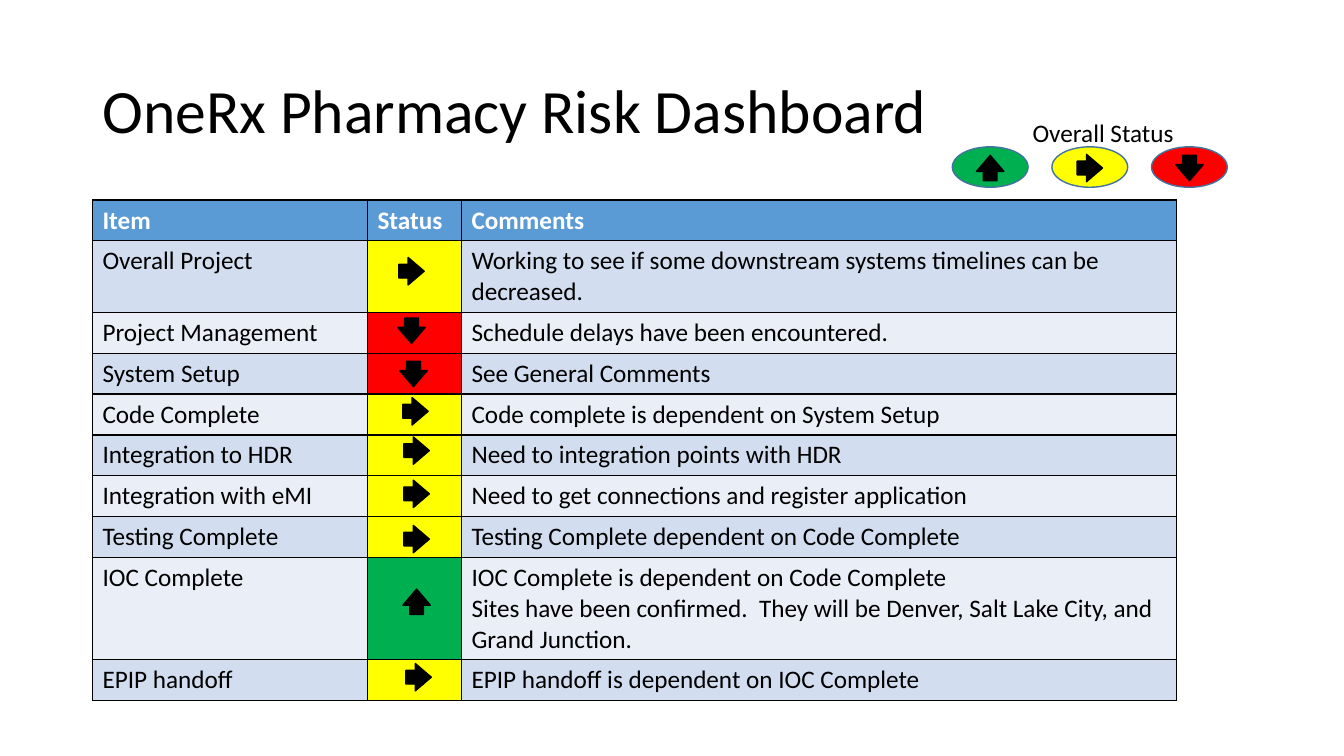
from lxml import etree
from pptx import Presentation
from pptx.dml.color import RGBColor
from pptx.enum.shapes import MSO_SHAPE
from pptx.enum.text import MSO_ANCHOR, PP_ALIGN
from pptx.oxml.ns import qn
from pptx.util import Cm, Pt

OVAL, ARROW = MSO_SHAPE.OVAL, MSO_SHAPE.RIGHT_ARROW
MIDDLE, TOP = MSO_ANCHOR.MIDDLE, MSO_ANCHOR.TOP
LEFT, CENTER = PP_ALIGN.LEFT, PP_ALIGN.CENTER

FONT = "Calibri"
COLORS = {
    "black": "000000", "white": "FFFFFF", "header": "5B9BD5",
    "band_dark": "D2DEEF", "band_light": "EAEFF7", "oval_line": "43739E",
    "up": "00B050", "steady": "FFFF00", "down": "FF0000",
}
ROTATIONS = {"up": 270, "steady": 0, "down": 90}
ARROW_WIDTH, ARROW_HEIGHT = 0.64, 0.69

HEADERS = ["Item", "Status", "Comments"]
COLUMN_WIDTHS = [6.93, 2.37, 18.01]
LINE_HEIGHT, ROW_HEIGHT = 0.77, 1.03
# Item, status, comments, lines of text, arrow offset from the table corner
RISKS = [
    ("Overall Project", "steady",
     "Working to see if some downstream systems timelines can be decreased.", 2, (7.72, 1.45)),
    ("Project Management", "down", "Schedule delays have been encountered.", 1, (7.72, 2.95)),
    ("System Setup", "down", "See General Comments", 1, (7.77, 4.04)),
    ("Code Complete", "steady", "Code complete is dependent on System Setup", 1, (7.82, 4.98)),
    ("Integration to HDR", "steady", "Need to integration points with HDR", 1, (7.85, 5.97)),
    ("Integration with eMI", "steady",
     "Need to get connections and register application", 1, (7.85, 7.06)),
    ("Testing Complete", "steady", "Testing Complete dependent on Code Complete", 1, (7.85, 8.2)),
    ("IOC Complete", "up",
     "IOC Complete is dependent on Code Complete\nSites have been confirmed.  "
     "They will be Denver, Salt Lake City, and Grand Junction.", 3, (7.85, 9.78)),
    ("EPIP handoff", "steady", "EPIP handoff is dependent on IOC Complete", 1, (7.9, 11.68)),
]


def rgb(name):
    return RGBColor.from_string(COLORS[name])


def write_text(text_frame, text, size=18, color="black", bold=False, align=LEFT):
    text_frame.text = text
    for paragraph in text_frame.paragraphs:
        paragraph.alignment = align
        for run in paragraph.runs:
            run.font.name = FONT
            run.font.size = Pt(size)
            run.font.bold = bold
            run.font.color.rgb = rgb(color)


def add_text(slide, box, text, size, align=LEFT, anchor=TOP):
    text_frame = slide.shapes.add_textbox(*map(Cm, box)).text_frame
    text_frame.word_wrap = True
    text_frame.vertical_anchor = anchor
    write_text(text_frame, text, size, align=align)
    return text_frame


def add_filled_shape(slide, kind, box, fill, line):
    shape = slide.shapes.add_shape(kind, *map(Cm, box))
    shape.shadow.inherit = False
    shape.fill.solid()
    shape.fill.fore_color.rgb = rgb(fill)
    shape.line.color.rgb = rgb(line)
    shape.line.width = Pt(1)
    return shape


def add_status_arrow(slide, left, top, status):
    box = (left, top, ARROW_WIDTH, ARROW_HEIGHT)
    arrow = add_filled_shape(slide, ARROW, box, "black", "black")
    arrow.adjustments[1] = 0.63
    arrow.rotation = ROTATIONS[status]


def add_borders(cell):
    """Draw thin black lines on all four sides, ahead of the cell's fill."""
    properties = cell._tc.get_or_add_tcPr()
    for position, side in enumerate(("a:lnL", "a:lnR", "a:lnT", "a:lnB")):
        line = etree.Element(qn(side), w=str(Pt(1)))
        fill = etree.SubElement(line, qn("a:solidFill"))
        etree.SubElement(fill, qn("a:srgbClr"), val=COLORS["black"])
        properties.insert(position, line)


def fill_cell(cell, text, fill, color="black", bold=False):
    cell.fill.solid()
    cell.fill.fore_color.rgb = rgb(fill)
    add_borders(cell)
    if text:
        write_text(cell.text_frame, text, color=color, bold=bold)


def add_title(slide, box):
    text_frame = add_text(slide, box, "OneRx Pharmacy Risk Dashboard", 44, anchor=MIDDLE)
    text_frame.paragraphs[0].line_spacing = 0.9


def add_overall_status(slide, left, top):
    oval_width, oval_height, step = 1.91, 1.02, 2.51
    for index, status in enumerate(ROTATIONS):
        oval_left = left + index * step
        oval_box = (oval_left, top + 0.86, oval_width, oval_height)
        add_filled_shape(slide, OVAL, oval_box, status, "oval_line")
        add_status_arrow(slide, oval_left + (oval_width - ARROW_WIDTH) / 2, top + 1.05, status)
    add_text(slide, (left + 0.64, top, 6.32, 1.03), "Overall Status", 18, CENTER)


def add_risk_table(slide, left, top):
    heights = [ROW_HEIGHT] + [ROW_HEIGHT + (risk[3] - 1) * LINE_HEIGHT for risk in RISKS]
    box = (left, top, sum(COLUMN_WIDTHS), sum(heights))
    table = slide.shapes.add_table(len(heights), len(HEADERS), *map(Cm, box)).table
    for column, width in zip(table.columns, COLUMN_WIDTHS):
        column.width = Cm(width)
    for row, height in zip(table.rows, heights):
        row.height = Cm(height)

    for column, header in enumerate(HEADERS):
        fill_cell(table.cell(0, column), header, "header", "white", True)
    for row, (item, status, comments, _, offset) in enumerate(RISKS, start=1):
        band = "band_dark" if row % 2 else "band_light"
        fill_cell(table.cell(row, 0), item, band)
        fill_cell(table.cell(row, 1), "", status)
        fill_cell(table.cell(row, 2), comments, band)
        add_status_arrow(slide, left + offset[0], top + offset[1], status)


def main():
    presentation = Presentation()
    presentation.slide_width, presentation.slide_height = Cm(33.87), Cm(19.05)
    slide = presentation.slides.add_slide(presentation.slide_layouts[6])
    add_title(slide, (2.33, 1.01, 29.21, 3.68))
    add_risk_table(slide, 2.33, 5.04)
    add_overall_status(slide, 24.0, 2.84)
    presentation.save("out.pptx")


if __name__ == "__main__":
    main()
